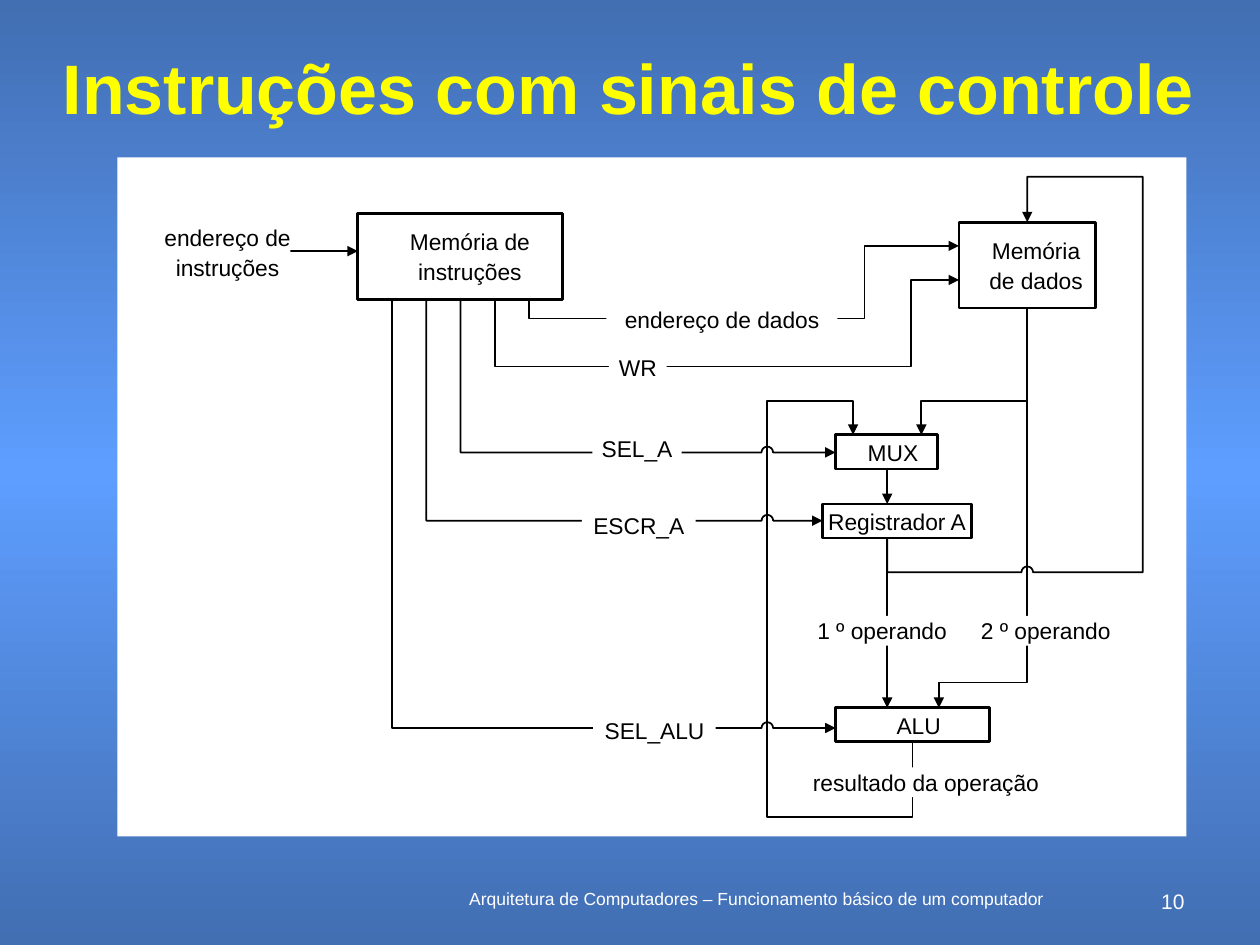
import math
from copy import deepcopy

from lxml import etree
from pptx import Presentation
from pptx.dml.color import RGBColor
from pptx.enum.shapes import MSO_CONNECTOR, MSO_SHAPE
from pptx.enum.text import MSO_ANCHOR, MSO_AUTO_SIZE, PP_ALIGN
from pptx.oxml.ns import qn
from pptx.util import Pt

RECTANGLE = MSO_SHAPE.RECTANGLE
STRAIGHT = MSO_CONNECTOR.STRAIGHT
TOP, MIDDLE = MSO_ANCHOR.TOP, MSO_ANCHOR.MIDDLE
CENTER, RIGHT = PP_ALIGN.CENTER, PP_ALIGN.RIGHT
NO_AUTOFIT = MSO_AUTO_SIZE.NONE

COLORS = {"edge": "426EB2", "glow": "5E9EFF", "title": "FFFF00",
          "paper": "FFFFFF", "ink": "000000"}
FORMATS = {
    "title": {"font": {"size": Pt(40), "bold": True}, "color": "title",
              "paragraph": {"alignment": CENTER, "line_spacing": 0.8}, "anchor": MIDDLE},
    "diagram": {"font": {"size": Pt(13), "bold": False}, "color": "ink",
                "paragraph": {"alignment": CENTER, "space_before": Pt(1.6)}, "anchor": MIDDLE},
    "footer": {"font": {"size": Pt(10)}, "color": "paper",
               "paragraph": {"alignment": CENTER}, "anchor": TOP},
    "number": {"font": {"size": Pt(12)}, "color": "paper",
               "paragraph": {"alignment": RIGHT}, "anchor": TOP},
}

PANEL = (67, 90, 611, 388)
HOP_RADIUS = 3.3
LABEL_HEIGHT = 17
RESULT_X, ACCUMULATOR_X, DATA_X = 371.5, 440, 520
MUX_LEFT, REGISTER_LEFT, DATA_LEFT = 410.5, 403, 481
INSTRUCTION_BOTTOM, DATA_BOTTOM, REGISTER_BOTTOM = 81, 86, 217.5
MUX_TOP, ALU_TOP = 158.5, 314.5

UNITS = [
    (["Memória de", "instruções"], (137.5, 32, 117, 49), 11),
    (["Memória", "de dados"], (DATA_LEFT, 37, 78, 49), 10),
    (["MUX"], (MUX_LEFT, MUX_TOP, 58.5, 19.5), 7),
    (["Registrador A"], (REGISTER_LEFT, 198, 85, 19.5), 0),
    (["ALU"], (MUX_LEFT, ALU_TOP, 88, 19.5), 7),
]
LABELS = [
    (["endereço de", "instruções"], (27, 37, 72, 2 * LABEL_HEIGHT)),
    (["endereço de dados"], (279.5, 84, 132, LABEL_HEIGHT)),
    (["WR"], (281, 111.5, 33, LABEL_HEIGHT)),
    (["SEL_A"], (271.5, 157.5, 51, LABEL_HEIGHT)),
    (["ESCR_A"], (265.5, 201.5, 65, LABEL_HEIGHT)),
    (["SEL_ALU"], (272, 319, 70, LABEL_HEIGHT)),
    (["1 º operando"], (394, 262, 86, LABEL_HEIGHT)),
    (["2 º operando"], (487.5, 262, 86, LABEL_HEIGHT)),
    (["resultado da operação"], (386.5, 348.5, 151, LABEL_HEIGHT)),
]


def rgb(name):
    """Return the named colour."""
    return RGBColor.from_string(COLORS[name])


def place(box, origin=(0, 0)):
    """Return the box in lengths, moved by the origin."""
    left, top, width, height = box
    return Pt(origin[0] + left), Pt(origin[1] + top), Pt(width), Pt(height)


def write(shape, lines, style, margins=(0, 0, 0, 0), wrap=False):
    """Fill a shape with formatted lines of text."""
    look = FORMATS[style]
    frame = shape.text_frame
    frame.text = "\n".join(lines)
    settings = {"word_wrap": wrap, "auto_size": NO_AUTOFIT, "vertical_anchor": look["anchor"]}
    for side, margin in zip(("left", "top", "right", "bottom"), margins):
        settings[f"margin_{side}"] = Pt(margin)
    for key, value in settings.items():
        setattr(frame, key, value)
    for paragraph in frame.paragraphs:
        for key, value in look["paragraph"].items():
            setattr(paragraph, key, value)
        for run in paragraph.runs:
            for key, value in {"name": "Arial", **look["font"]}.items():
                setattr(run.font, key, value)
            run.font.color.rgb = rgb(look["color"])


def paint_background(slide):
    """Paint the vertical gradient, lightest at mid-height."""
    fill = slide.background.fill
    fill.gradient()
    fill.gradient_angle = 90
    stop_list = slide.element.find(".//" + qn("a:gsLst"))
    stop_list.insert(1, deepcopy(stop_list[0]))
    for stop, position, name in zip(fill.gradient_stops, (0, 0.5, 1), ("edge", "glow", "edge")):
        stop.position = position
        stop.color.rgb = rgb(name)


def add_title(slide, box):
    """Put the heading in the title placeholder."""
    title = slide.shapes.title
    title.left, title.top, title.width, title.height = place(box)
    write(title, ["Instruções com sinais de controle"], "title", wrap=True)


def add_footer(slide, box):
    """Add the course line and the page number."""
    left, top, width, height = box
    margins = (7.2, 3.6, 7.2, 3.6)
    course = slide.shapes.add_textbox(*place((left, top, 384, height)))
    write(course, ["Arquitetura de Computadores – Funcionamento básico de um computador"],
          "footer", margins, True)
    number = slide.shapes.add_textbox(*place((left + width - 30, top, 30, height)))
    write(number, ["10"], "number", margins, True)


def add_rectangle(slide, box, origin=(0, 0), outlined=False):
    """Add a white rectangle, with a black outline on request."""
    rectangle = slide.shapes.add_shape(RECTANGLE, *place(box, origin))
    rectangle.shadow.inherit = False
    rectangle.fill.solid()
    rectangle.fill.fore_color.rgb = rgb("paper")
    if outlined:
        rectangle.line.color.rgb = rgb("ink")
        rectangle.line.width = Pt(1.62)
    else:
        rectangle.line.fill.background()
    return rectangle


def hop(x, y):
    """Return the points of a half circle over a crossing wire."""
    angles = [math.pi * (1 - step / 8) for step in range(9)]
    return [(x + HOP_RADIUS * math.cos(a), y - HOP_RADIUS * math.sin(a)) for a in angles]


def signal_wires():
    """Return the routes of all signals inside the panel."""
    data_out, wr_out, sel_a_out, escr_out, alu_out = [157 + 19.6 * i for i in range(4, -1, -1)]
    routes = [
        [(98.5, 53.5), (137.5, 53.5)],
        [(data_out, INSTRUCTION_BOTTOM), (data_out, 92), (427, 92), (427, 50.5), (DATA_LEFT, 50.5)],
        [(wr_out, INSTRUCTION_BOTTOM), (wr_out, 119.5), (453.5, 119.5), (453.5, 70), (DATA_LEFT, 70)],
        [(454.5, 334), (454.5, 377), (RESULT_X, 377), (RESULT_X, 139), (420.5, 139), (420.5, MUX_TOP)],
        [(ACCUMULATOR_X, 178), (ACCUMULATOR_X, 198)],
        [(DATA_X, DATA_BOTTOM), (DATA_X, 139), (459.5, 139), (459.5, MUX_TOP)],
        [(ACCUMULATOR_X, REGISTER_BOTTOM), (ACCUMULATOR_X, ALU_TOP)],
        [(DATA_X, DATA_BOTTOM), (DATA_X, 300), (469.5, 300), (469.5, ALU_TOP)],
        [(ACCUMULATOR_X, REGISTER_BOTTOM), (ACCUMULATOR_X, 237), *hop(DATA_X, 237),
         (586, 237), (586, 11), (DATA_X, 11), (DATA_X, 37)],
    ]
    controls = [(sel_a_out, 168.5, MUX_LEFT), (escr_out, 207.5, REGISTER_LEFT),
                (alu_out, 326, MUX_LEFT)]
    for x, y, end in controls:
        routes.append([(x, INSTRUCTION_BOTTOM), (x, y), *hop(RESULT_X, y), (end, y)])
    return routes


def add_wire(slide, route, origin):
    """Draw one route with an arrowhead at its end."""
    points = [(Pt(origin[0] + x), Pt(origin[1] + y)) for x, y in route]
    if len(points) == 2:
        wire = slide.shapes.add_connector(STRAIGHT, *points[0], *points[1])
    else:
        builder = slide.shapes.build_freeform(*points[0])
        builder.add_line_segments(points[1:], close=False)
        wire = builder.convert_to_shape()
        wire.fill.background()
    wire.line.color.rgb = rgb("ink")
    wire.line.width = Pt(1)
    outline = wire.line._get_or_add_ln()
    etree.SubElement(outline, qn("a:tailEnd"), type="triangle", w="med", len="med")
    etree.SubElement(wire.element.spPr, qn("a:effectLst"))


def add_datapath(slide, box):
    """Draw the white panel with its wires, labels and units."""
    origin = box[:2]
    add_rectangle(slide, box)
    for route in signal_wires():
        add_wire(slide, route, origin)
    for lines, area in LABELS:
        write(add_rectangle(slide, area, origin), lines, "diagram")
    for lines, area, indent in UNITS:
        unit = add_rectangle(slide, area, origin, outlined=True)
        write(unit, lines, "diagram", (indent, 0, 0, 0))


def main():
    """Build and save the slide."""
    deck = Presentation()
    deck.slide_width, deck.slide_height = Pt(720), Pt(540)
    slide = deck.slides.add_slide(deck.slide_layouts[5])
    paint_background(slide)
    add_footer(slide, (240, 504, 444, 18))
    add_title(slide, (24.5, 30, 669, 48))
    add_datapath(slide, PANEL)
    deck.save("out.pptx")


if __name__ == "__main__":
    main()
